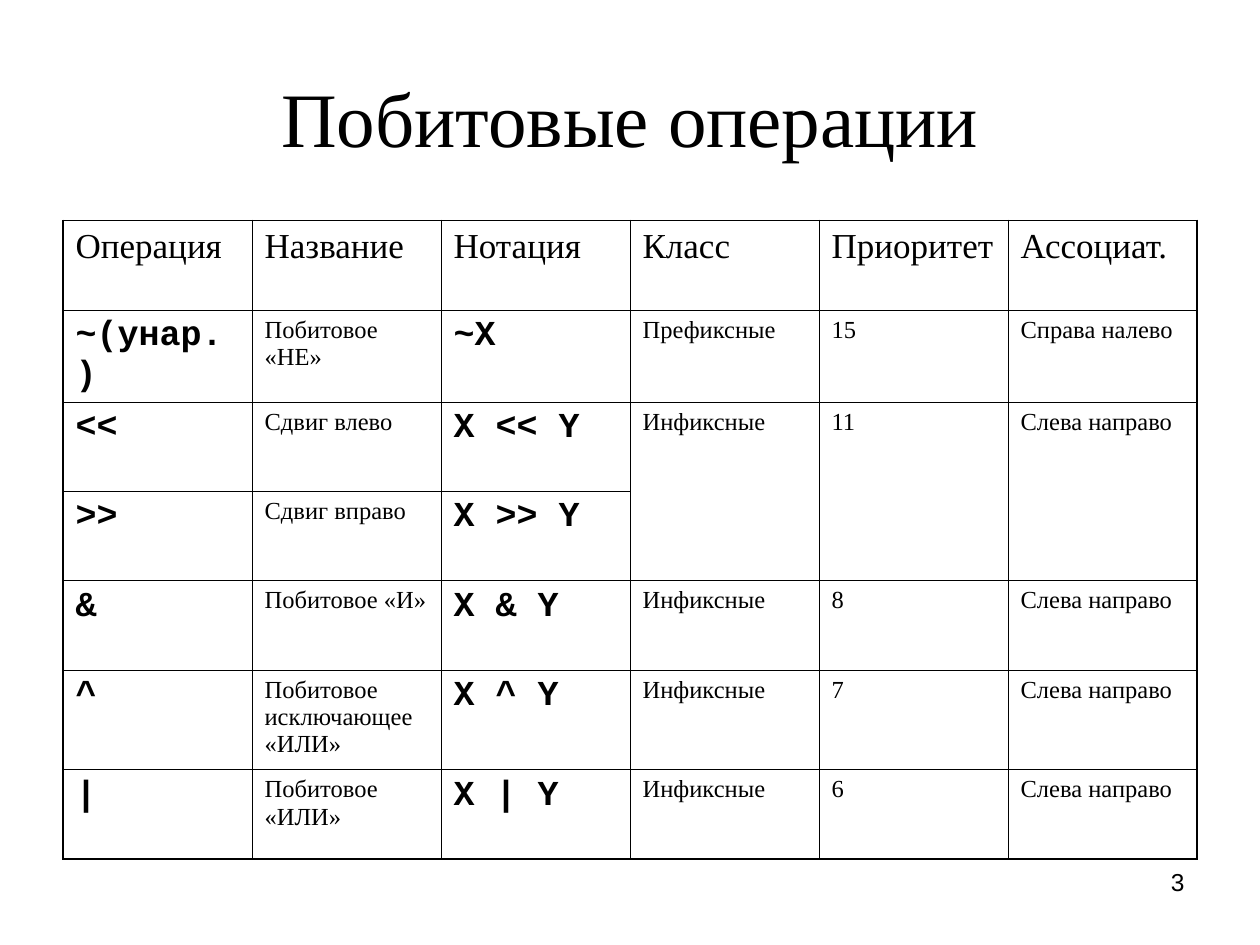
from dataclasses import dataclass

from lxml.etree import SubElement
from pptx import Presentation
from pptx.dml.color import RGBColor
from pptx.enum.text import MSO_ANCHOR as Anchor, PP_ALIGN as Align
from pptx.oxml import parse_xml
from pptx.oxml.ns import nsdecls, qn
from pptx.util import Inches, Pt


@dataclass(frozen=True)
class Style:
    """Typeface, size and weight of a kind of text."""
    font: str
    size: int
    bold: bool = False


@dataclass(frozen=True)
class Theme:
    """Colours, text styles and line widths of the slide."""
    ink: str = "000000"
    paper: str = "FFFFFF"
    title: Style = Style("Times New Roman", 44)
    header: Style = Style("Times New Roman", 20)
    body: Style = Style("Times New Roman", 14)
    code: Style = Style("Courier New", 20, True)
    number: Style = Style("Arial", 14)
    frame: float = 1.08
    rule: float = 0.45


THEME = Theme()
WIDTH, HEIGHT = 10, 7.5
MARGIN = WIDTH * 0.05
CONTENT = WIDTH - 2 * MARGIN
CODE_COLUMNS = (0, 2)
ROW_HEIGHTS = (0.71, 0.73, 0.71, 0.71, 0.71, 0.79, 0.71)
SHIFT_ROWS = (2, 3)
SHARED_COLUMNS = (3, 4, 5)
ROWS = (
    ("Операция", "Название", "Нотация", "Класс", "Приоритет", "Ассоциат."),
    ("~(унар.)", "Побитовое «НЕ»", "~X", "Префиксные", "15", "Справа налево"),
    ("<<", "Сдвиг влево", "X << Y", "Инфиксные", "11", "Слева направо"),
    (">>", "Сдвиг вправо", "X >> Y", "", "", ""),
    ("&", "Побитовое «И»", "X & Y", "Инфиксные", "8", "Слева направо"),
    ("^", "Побитовое исключающее «ИЛИ»", "X ^ Y", "Инфиксные", "7", "Слева направо"),
    ("|", "Побитовое «ИЛИ»", "X | Y", "Инфиксные", "6", "Слева направо"),
)


def write(frame, text, style, align=Align.LEFT):
    """Put one styled run into the first paragraph of a text frame."""
    frame.word_wrap = True
    para = frame.paragraphs[0]
    para.alignment = align
    span = para.add_run()
    span.text = text
    span.font.name = style.font
    span.font.size = Pt(style.size)
    span.font.bold = style.bold
    span.font.color.rgb = RGBColor.from_string(THEME.ink)


def add_title(page, text):
    """Place and fill the title placeholder."""
    box = page.shapes.title
    box.left, box.top = Inches(MARGIN), Inches(HEIGHT * 0.04)
    box.width, box.height = Inches(CONTENT), Inches(1.25)
    box.text_frame.vertical_anchor = Anchor.MIDDLE
    write(box.text_frame, text, THEME.title, Align.CENTER)


def add_page_number(page, text):
    """Add the page number at the lower right."""
    width = 2.33
    box = page.shapes.add_textbox(Inches(WIDTH - MARGIN - width), Inches(6.83),
                                  Inches(width), Inches(0.52))
    write(box.text_frame, text, THEME.number, Align.RIGHT)


def set_borders(cell, widths):
    """Draw the left, right, top and bottom borders of a cell."""
    properties = cell._tc.get_or_add_tcPr()
    for index, (side, width) in enumerate(zip("LRTB", widths)):
        line = parse_xml(f'<a:ln{side} {nsdecls("a")} w="{Pt(width)}"/>')
        fill = SubElement(line, qn("a:solidFill"))
        SubElement(fill, qn("a:srgbClr"), val=THEME.ink)
        properties.insert(index, line)


def cell_style(row, column):
    """Choose the text style for a table position."""
    if row == 0:
        return THEME.header
    return THEME.code if column in CODE_COLUMNS else THEME.body


def add_operations_table(page):
    """Add the table of operations with its shared shift cells."""
    row_count, column_count = len(ROWS), len(ROWS[0])
    table = page.shapes.add_table(row_count, column_count, Inches(MARGIN), Inches(1.75),
                                  Inches(CONTENT), Inches(sum(ROW_HEIGHTS))).table
    table.first_row = table.horz_banding = False
    for row, height in zip(table.rows, ROW_HEIGHTS):
        row.height = Inches(height)
    for column in SHARED_COLUMNS:
        first, last = SHIFT_ROWS
        table.cell(first, column).merge(table.cell(last, column))
    for row, texts in enumerate(ROWS):
        for column, text in enumerate(texts):
            cell = table.cell(row, column)
            cell.fill.solid()
            cell.fill.fore_color.rgb = RGBColor.from_string(THEME.paper)
            outer = (column == 0, column == column_count - 1,
                     row == 0, row == row_count - 1)
            set_borders(cell, [THEME.frame if edge else THEME.rule for edge in outer])
            if text:
                write(cell.text_frame, text, cell_style(row, column))


def main():
    """Build and save the slide."""
    deck = Presentation()
    deck.slide_width, deck.slide_height = Inches(WIDTH), Inches(HEIGHT)
    page = deck.slides.add_slide(deck.slide_layouts.get_by_name("Title Only"))
    add_title(page, "Побитовые операции")
    add_operations_table(page)
    add_page_number(page, "3")
    deck.save("out.pptx")


if __name__ == "__main__":
    main()
